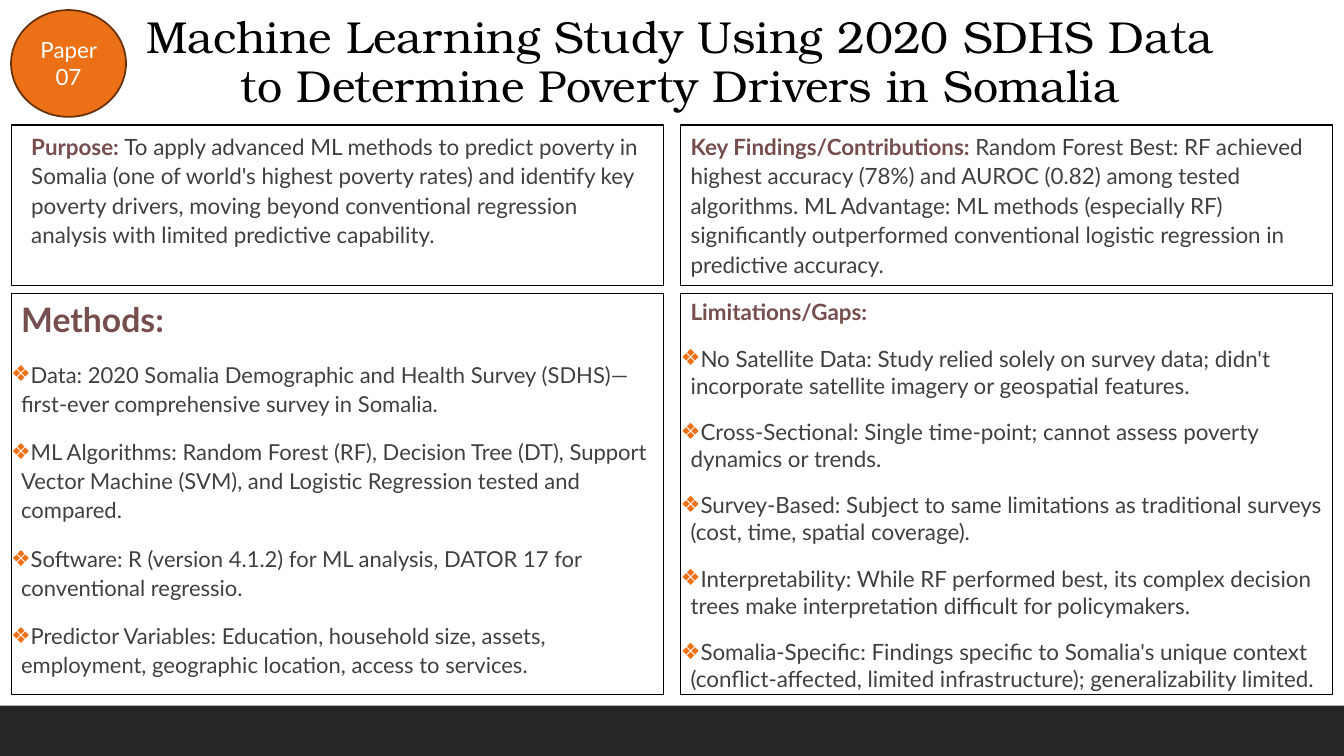
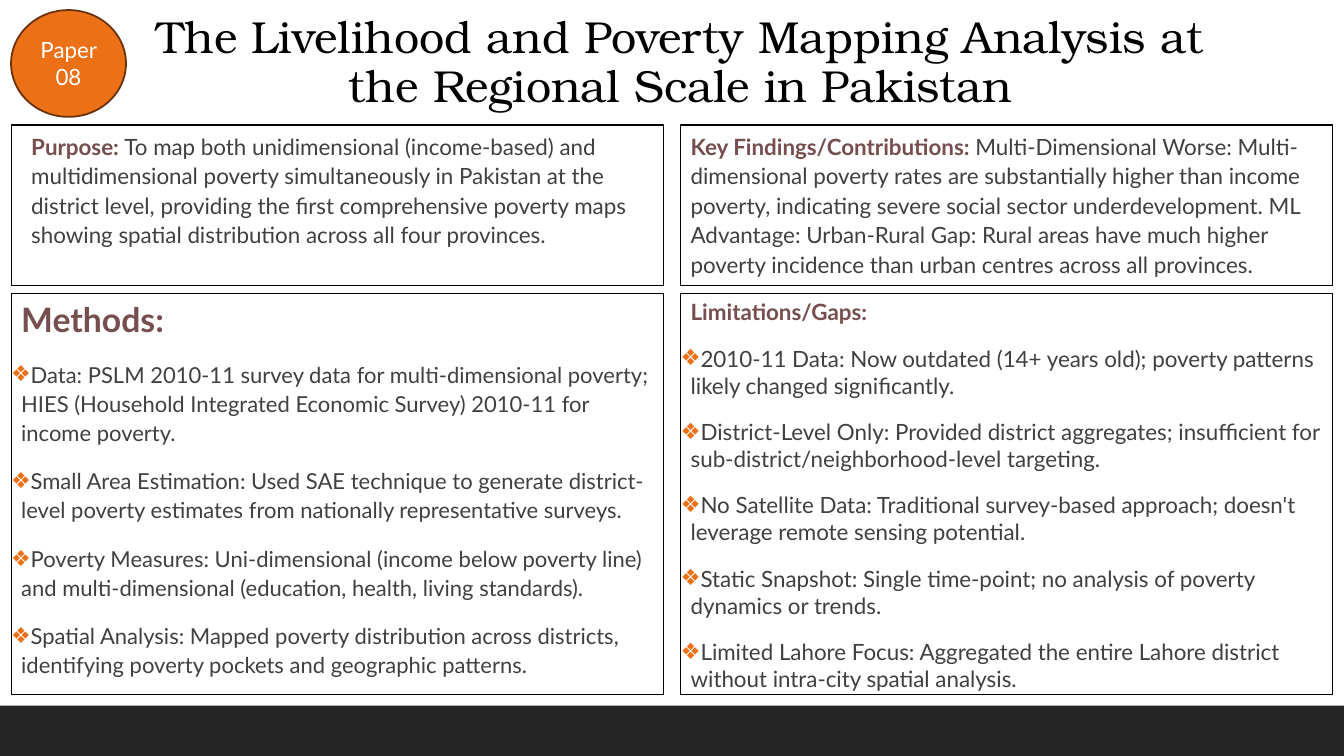
from dataclasses import dataclass

from lxml import etree
from pptx import Presentation
from pptx.dml.color import RGBColor
from pptx.enum.shapes import MSO_SHAPE
from pptx.enum.text import MSO_ANCHOR, MSO_AUTO_SIZE, PP_ALIGN
from pptx.oxml.ns import qn
from pptx.util import Pt

RECTANGLE, OVAL = MSO_SHAPE.RECTANGLE, MSO_SHAPE.OVAL
TOP, MIDDLE = MSO_ANCHOR.TOP, MSO_ANCHOR.MIDDLE
NO_AUTOFIT = MSO_AUTO_SIZE.NONE
CENTER, LEFT = PP_ALIGN.CENTER, PP_ALIGN.LEFT

BLACK = RGBColor(0x00, 0x00, 0x00)
WHITE = RGBColor(0xFF, 0xFF, 0xFF)
CHARCOAL = RGBColor(0x26, 0x26, 0x26)
BODY_GRAY = RGBColor(0x40, 0x40, 0x40)
HEADING_BROWN = RGBColor(0x76, 0x4E, 0x4E)
ORANGE = RGBColor(0xEC, 0x70, 0x16)
DARK_ORANGE = RGBColor(0x67, 0x31, 0x0A)

TITLE_FONT, BODY_FONT = "TeX Gyre Bonum", "Lato"
BULLET = "❖"
COMPARISON_LAYOUT = 4

# Geometry in px, 100 px to the inch
PX = 9144
SLIDE_W, SLIDE_H = 1333, 750
BAND_H = 50
MARGIN, COLUMN_GAP, ROW_GAP = 11, 17, 8
PANEL_W, UPPER_H, LOWER_H = 647, 159, 398
UPPER_TOP = 124
LOWER_TOP = UPPER_TOP + UPPER_H + ROW_GAP
RIGHT_COLUMN = MARGIN + PANEL_W + COLUMN_GAP
BADGE_BOX = (MARGIN, 10, 114, 106)
TITLE_BOX = (125, 10, 1100, 106)
INDENT = 10


@dataclass
class Paper:
    number: str
    title: str
    purpose: str
    findings: str
    methods: list
    limitations: list


PAPERS = [
    Paper(
        "07",
        "Machine Learning Study Using 2020 SDHS Data to Determine Poverty Drivers in Somalia",
        "To apply advanced ML methods to predict poverty in Somalia (one of world's highest "
        "poverty rates) and identify key poverty drivers, moving beyond conventional "
        "regression analysis with limited predictive capability.",
        "Random Forest Best: RF achieved highest accuracy (78%) and AUROC (0.82) among tested "
        "algorithms. ML Advantage: ML methods (especially RF) significantly outperformed "
        "conventional logistic regression in predictive accuracy.",
        [
            "Data: 2020 Somalia Demographic and Health Survey (SDHS)—first-ever comprehensive "
            "survey in Somalia.",
            "ML Algorithms: Random Forest (RF), Decision Tree (DT), Support Vector Machine "
            "(SVM), and Logistic Regression tested and compared.",
            "Software: R (version 4.1.2) for ML analysis, DATOR 17 for conventional regressio.",
            "Predictor Variables: Education, household size, assets, employment, geographic "
            "location, access to services.",
        ],
        [
            "No Satellite Data: Study relied solely on survey data; didn't incorporate "
            "satellite imagery or geospatial features.",
            "Cross-Sectional: Single time-point; cannot assess poverty dynamics or trends.",
            "Survey-Based: Subject to same limitations as traditional surveys (cost, time, "
            "spatial coverage).",
            "Interpretability: While RF performed best, its complex decision trees make "
            "interpretation difficult for policymakers.",
            "Somalia-Specific: Findings specific to Somalia's unique context "
            "(conflict-affected, limited infrastructure); generalizability limited.",
        ],
    ),
    Paper(
        "08",
        "The Livelihood and Poverty Mapping Analysis at the Regional Scale in Pakistan",
        "To map both unidimensional (income-based) and multidimensional poverty "
        "simultaneously in Pakistan at the district level, providing the first comprehensive "
        "poverty maps showing spatial distribution across all four provinces.",
        "Multi-Dimensional Worse: Multi-dimensional poverty rates are substantially higher "
        "than income poverty, indicating severe social sector underdevelopment. ML Advantage: "
        "Urban-Rural Gap: Rural areas have much higher poverty incidence than urban centres "
        "across all provinces.",
        [
            "Data: PSLM 2010-11 survey data for multi-dimensional poverty; HIES (Household "
            "Integrated Economic Survey) 2010-11 for income poverty.",
            "Small Area Estimation: Used SAE technique to generate district-level poverty "
            "estimates from nationally representative surveys.",
            "Poverty Measures: Uni-dimensional (income below poverty line) and "
            "multi-dimensional (education, health, living standards).",
            "Spatial Analysis: Mapped poverty distribution across districts, identifying "
            "poverty pockets and geographic patterns.",
        ],
        [
            "2010-11 Data: Now outdated (14+ years old); poverty patterns likely changed "
            "significantly.",
            "District-Level Only: Provided district aggregates; insufficient for "
            "sub-district/neighborhood-level targeting.",
            "No Satellite Data: Traditional survey-based approach; doesn't leverage remote "
            "sensing potential.",
            "Static Snapshot: Single time-point; no analysis of poverty dynamics or trends.",
            "Limited Lahore Focus: Aggregated the entire Lahore district without intra-city "
            "spatial analysis.",
        ],
    ),
]


def apply(target, **formats):
    for name, value in formats.items():
        setattr(target, name, value)


def emu(box):
    return [length * PX for length in box]


def place(shape, box):
    apply(shape, **dict(zip(("left", "top", "width", "height"), emu(box))))


def frame_text(shape, anchor, side_inset=10):
    frame = shape.text_frame
    apply(frame, word_wrap=True, auto_size=NO_AUTOFIT, vertical_anchor=anchor,
          margin_left=side_inset * PX, margin_right=side_inset * PX,
          margin_top=5 * PX, margin_bottom=5 * PX)
    return frame


def add_run(paragraph, text, size, color, bold=False, font=BODY_FONT):
    run = paragraph.add_run()
    run.text = text
    apply(run.font, size=Pt(size), name=font, bold=bold)
    run.font.color.rgb = color


def format_panel_paragraph(paragraph, spacing, bulleted=False):
    properties = paragraph._p.get_or_add_pPr()
    properties.set("marL", str(INDENT * PX))
    properties.set("indent", str(-INDENT * PX if bulleted else 0))
    if bulleted:
        bullet_color = etree.SubElement(properties, qn("a:buClr"))
        etree.SubElement(bullet_color, qn("a:srgbClr"), val=str(ORANGE))
        etree.SubElement(properties, qn("a:buChar"), char=BULLET)
    else:
        etree.SubElement(properties, qn("a:buNone"))
    apply(paragraph, alignment=LEFT, line_spacing=spacing,
          space_before=Pt(12 if bulleted else 0), space_after=Pt(2))


def open_panel(panel, box, side_inset):
    """Outline a panel and return its text frame."""
    place(panel, box)
    panel.line.color.rgb = BLACK
    panel.line.width = Pt(0.75)
    return frame_text(panel, TOP, side_inset)


def summary_panel(panel, box, heading, text, side_inset=0):
    paragraph = open_panel(panel, box, side_inset).paragraphs[0]
    format_panel_paragraph(paragraph, 1.1)
    add_run(paragraph, heading + " ", 16, HEADING_BROWN, bold=True)
    add_run(paragraph, text, 16, BODY_GRAY)


def list_panel(panel, box, heading, items, heading_size, item_size, spacing):
    frame = open_panel(panel, box, 0)
    format_panel_paragraph(frame.paragraphs[0], 1.0)
    add_run(frame.paragraphs[0], heading, heading_size, HEADING_BROWN, bold=True)
    for item in items:
        paragraph = frame.add_paragraph()
        format_panel_paragraph(paragraph, spacing, bulleted=True)
        add_run(paragraph, item, item_size, BODY_GRAY)


def slide_title(title, box, text):
    place(title, box)
    paragraph = frame_text(title, MIDDLE).paragraphs[0]
    apply(paragraph, alignment=CENTER, line_spacing=0.9, space_before=Pt(0))
    add_run(paragraph, text, 32, BLACK, font=TITLE_FONT)


def solid_shape(slide, preset, box, color):
    shape = slide.shapes.add_shape(preset, *emu(box))
    shape.shadow.inherit = False
    shape.fill.solid()
    shape.fill.fore_color.rgb = color
    return shape


def paper_badge(slide, box, number):
    badge = solid_shape(slide, OVAL, box, ORANGE)
    badge.line.color.rgb = DARK_ORANGE
    badge.line.width = Pt(1.25)
    paragraph = frame_text(badge, MIDDLE).paragraphs[0]
    paragraph.alignment = CENTER
    add_run(paragraph, f"Paper {number}", 16, WHITE)


def master_band(prs, slide):
    """Draw the bottom band and hand it to the master, so every slide shares it."""
    band = solid_shape(slide, RECTANGLE, (0, SLIDE_H - BAND_H, SLIDE_W, BAND_H), CHARCOAL)
    band.line.fill.background()
    prs.slide_master.shapes.element.append(band.element)


def paper_slide(prs, paper):
    slide = prs.slides.add_slide(prs.slide_layouts[COMPARISON_LAYOUT])
    title, purpose, methods, findings, limitations = slide.placeholders

    # Heading row
    slide_title(title, TITLE_BOX, paper.title)
    paper_badge(slide, BADGE_BOX, paper.number)

    # Left column
    summary_panel(purpose, (MARGIN, UPPER_TOP, PANEL_W, UPPER_H),
                  "Purpose:", paper.purpose, side_inset=10)
    list_panel(methods, (MARGIN, LOWER_TOP, PANEL_W, LOWER_H),
               "Methods:", paper.methods, 24.1, 15.7, 1.1)

    # Right column
    summary_panel(findings, (RIGHT_COLUMN, UPPER_TOP, PANEL_W, UPPER_H),
                  "Key Findings/Contributions:", paper.findings)
    list_panel(limitations, (RIGHT_COLUMN, LOWER_TOP, PANEL_W, LOWER_H),
               "Limitations/Gaps:", paper.limitations, 16, 16, 1.0)
    return slide


def main():
    prs = Presentation()
    apply(prs, slide_width=SLIDE_W * PX, slide_height=SLIDE_H * PX)
    slides = [paper_slide(prs, paper) for paper in PAPERS]
    master_band(prs, slides[0])
    prs.save("out.pptx")


if __name__ == "__main__":
    main()
